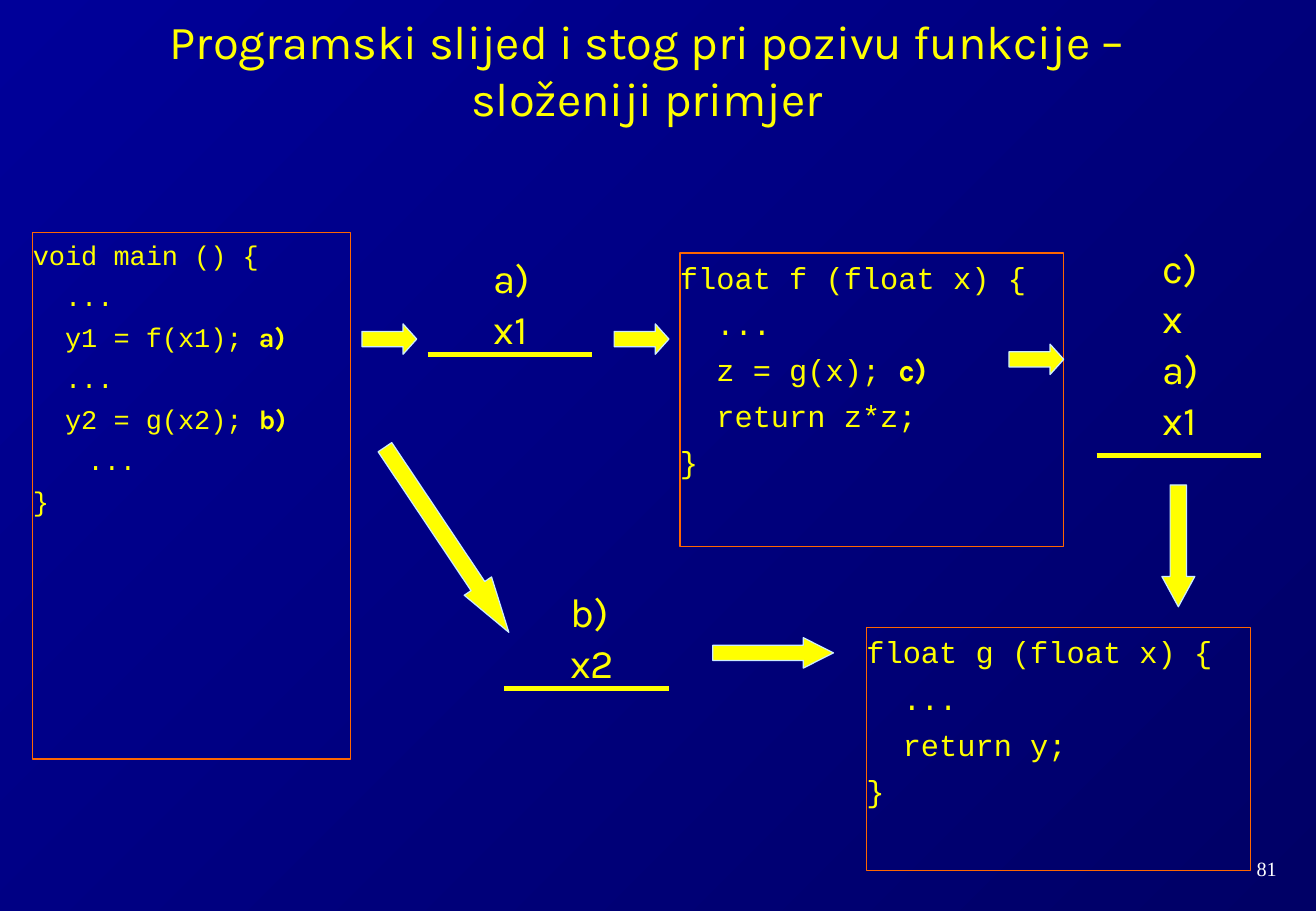
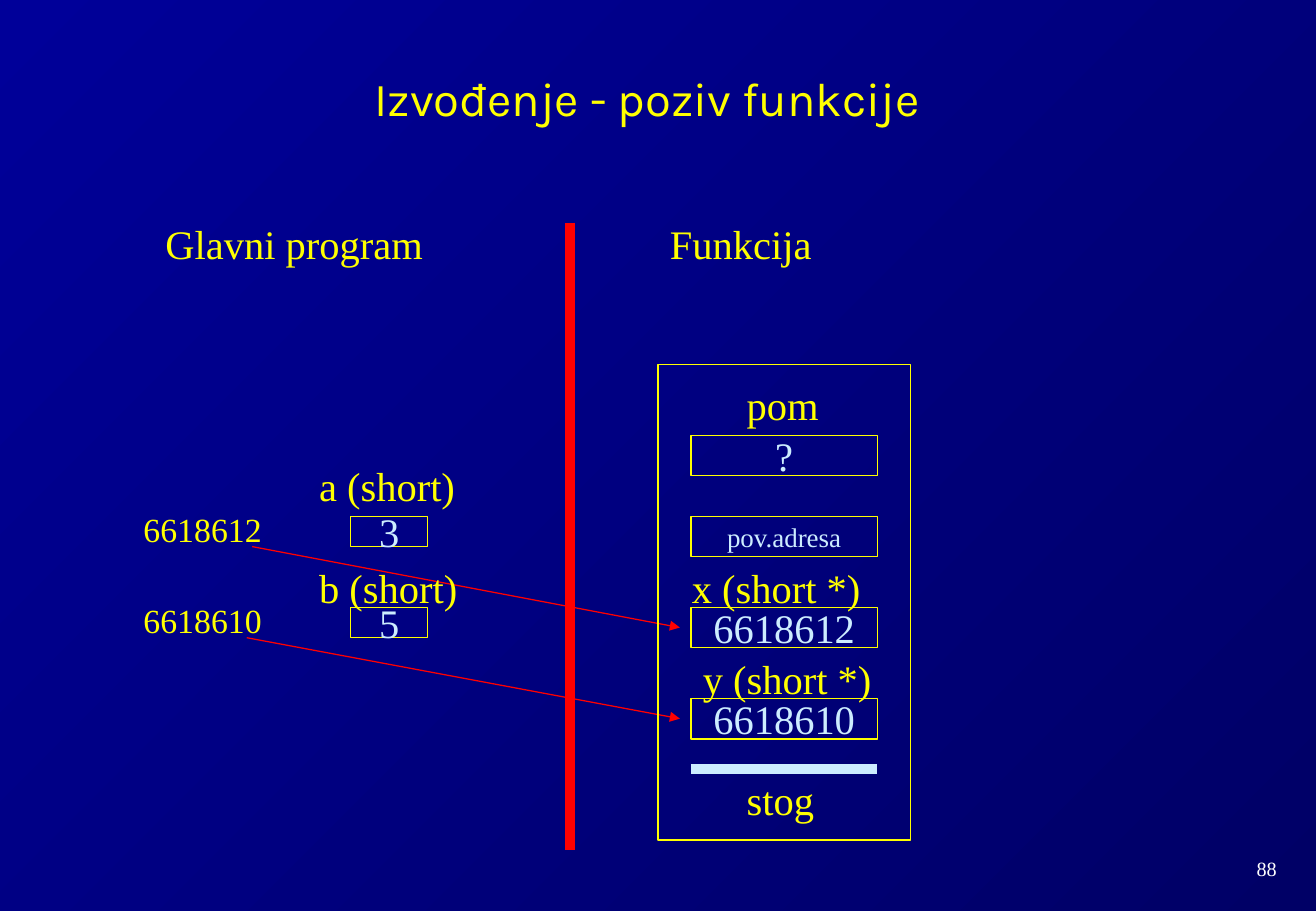
from collections import namedtuple
from dataclasses import dataclass

from lxml import etree
from pptx import Presentation
from pptx.dml.color import RGBColor
from pptx.enum.shapes import MSO_CONNECTOR, MSO_SHAPE
from pptx.enum.text import MSO_ANCHOR, MSO_AUTO_SIZE, PP_ALIGN
from pptx.oxml.ns import qn
from pptx.util import Inches, Pt

STRAIGHT = MSO_CONNECTOR.STRAIGHT
RECTANGLE, RIGHT_ARROW = MSO_SHAPE.RECTANGLE, MSO_SHAPE.RIGHT_ARROW
LEFT, CENTER = PP_ALIGN.LEFT, PP_ALIGN.CENTER
TOP, MIDDLE, BOTTOM = MSO_ANCHOR.TOP, MSO_ANCHOR.MIDDLE, MSO_ANCHOR.BOTTOM
TITLE_ONLY = 5


@dataclass(frozen=True)
class Theme:
    yellow: RGBColor = RGBColor(0xFF, 0xFF, 0x00)
    pale: RGBColor = RGBColor(0xCC, 0xEC, 0xFF)
    orange: RGBColor = RGBColor(0xFF, 0x66, 0x00)
    red: RGBColor = RGBColor(0xFF, 0x00, 0x00)
    white: RGBColor = RGBColor(0xFF, 0xFF, 0xFF)
    dark: RGBColor = RGBColor(0x00, 0x00, 0x66)
    blue: RGBColor = RGBColor(0x00, 0x00, 0x99)
    sans: str = "Karla"
    serif: str = "Times New Roman"
    mono: str = "Courier New"
    title: int = 28
    label: int = 24
    address: int = 20
    code: int = 18
    small: int = 16
    number: int = 12
    thin: float = 0.75
    medium: float = 3
    thick: float = 6
    code_gap: float = 0.32


THEME = Theme()
Box = namedtuple("Box", "left top width height")

# The slide is a grid of 120 columns and 90 rows.
SLIDE_WIDTH, SLIDE_HEIGHT = Inches(10.84), Inches(7.5)
COLUMN, ROW = SLIDE_WIDTH / 120, SLIDE_HEIGHT / 90
TITLE_BOX = Box(6, 3, 106, 10)
NUMBER_BOX = Box(111, 84, 9, 3.6)


def place(box):
    return (round(box.left * COLUMN), round(box.top * ROW),
            round(box.width * COLUMN), round(box.height * ROW))


def add_run(paragraph, text, size, color, font, bold=False):
    run = paragraph.add_run()
    run.text = text
    run.font.size = Pt(size)
    run.font.color.rgb = color
    run.font.name = font
    run.font.bold = bold


def set_frame(frame, anchor=TOP, insets=(0, 0), wrap=True):
    """Set anchor, wrapping and the (side, top and bottom) insets in inches."""
    frame.auto_size = MSO_AUTO_SIZE.NONE
    frame.word_wrap = wrap
    frame.vertical_anchor = anchor
    frame.margin_left = frame.margin_right = Inches(insets[0])
    frame.margin_top = frame.margin_bottom = Inches(insets[1])


def add_text(slide, box, text, size=THEME.label, color=THEME.yellow,
             font=THEME.serif, align=LEFT, anchor=TOP, insets=(0.1, 0.05)):
    frame = slide.shapes.add_textbox(*place(box)).text_frame
    set_frame(frame, anchor, insets)
    frame.paragraphs[0].alignment = align
    add_run(frame.paragraphs[0], text, size, color, font)


def add_outline(slide, box, color):
    shape = slide.shapes.add_shape(RECTANGLE, *place(box))
    shape.shadow.inherit = False
    shape.fill.background()
    shape.line.color.rgb = color
    shape.line.width = Pt(THEME.thin)
    return shape


def add_line(slide, start, end, color, width, arrowhead=False):
    connector = slide.shapes.add_connector(
        STRAIGHT, round(start[0] * COLUMN), round(start[1] * ROW),
        round(end[0] * COLUMN), round(end[1] * ROW))
    connector.line.color.rgb = color
    connector.line.width = Pt(width)
    if arrowhead:
        etree.SubElement(connector.line._get_or_add_ln(), qn("a:tailEnd"), type="triangle")
    etree.SubElement(connector._element.spPr, qn("a:effectLst"))


def add_block_arrow(slide, box, head, rotation=0):
    """Add an arrow whose head length is a share of its thickness."""
    shape = slide.shapes.add_shape(RIGHT_ARROW, *place(box))
    shape.shadow.inherit = False
    shape.adjustments[0] = 0.5
    shape.adjustments[1] = head
    shape.rotation = rotation
    shape.fill.solid()
    shape.fill.fore_color.rgb = THEME.yellow
    shape.line.color.rgb = THEME.pale
    shape.line.width = Pt(THEME.thin)


def add_code(slide, box, size, lines):
    """Add a framed listing; each line holds (text, font) runs."""
    frame = add_outline(slide, box, THEME.orange).text_frame
    set_frame(frame, insets=(0, 0.05))
    for index, runs in enumerate(lines):
        paragraph = frame.add_paragraph() if index else frame.paragraphs[0]
        paragraph.alignment = LEFT
        if index:
            paragraph.space_before = Pt(size * THEME.code_gap)
        for text, font in runs:
            is_mark = font == THEME.sans and text.strip() != ""
            add_run(paragraph, text, size, THEME.yellow, font, is_mark)


def add_call_stack(slide, box, entries):
    """Add entries from the top of the box down to a base line at its bottom."""
    base = box.top + box.height
    add_line(slide, (box.left, base), (box.left + box.width, base),
             THEME.yellow, THEME.medium)
    for index, entry in enumerate(entries):
        add_text(slide, Box(box.left + 6, box.top + 5 * index, 6, 5), entry,
                 font=THEME.sans, insets=(0, 0))


def add_cell(slide, box, text, size=THEME.label):
    frame = add_outline(slide, box, THEME.yellow).text_frame
    set_frame(frame, MIDDLE, wrap=False)
    frame.paragraphs[0].alignment = CENTER
    add_run(frame.paragraphs[0], text, size, THEME.pale, THEME.serif)


def add_main_memory(slide, box):
    variables = (("a (short)", "3", "6618612", 0, 6),
                 ("b (short)", "5", "6618610", 10, 15))
    for name, value, address, name_row, cell_row in variables:
        cell_top = box.top + cell_row
        add_cell(slide, Box(box.left + 20, cell_top, 7, 3), value)
        add_text(slide, Box(box.left + 16, box.top + name_row, 16, 6), name)
        add_text(slide, Box(box.left, cell_top - 1.3, 14, 5.3), address, THEME.address)


def add_function_stack(slide, box):
    add_outline(slide, box, THEME.yellow)
    cells = (("?", 7, THEME.label), ("pov.adresa", 15, THEME.small),
             ("6618612", 24, THEME.label), ("6618610", 33, THEME.label))
    for value, row, size in cells:
        add_cell(slide, Box(box.left + 3, box.top + row, 17, 4), value, size)
    labels = (("pom", 7, 1, 10), ("x (short *)", 2, 19, 19),
              ("y (short *)", 3, 28, 19), ("stog", 7, 40, 10))
    for text, column, row, width in labels:
        add_text(slide, Box(box.left + column, box.top + row, width, 6), text)
    base = box.top + 40
    add_line(slide, (box.left + 3, base), (box.left + 20, base), THEME.pale, THEME.thick)


def add_slide(presentation, title, number):
    slide = presentation.slides.add_slide(presentation.slide_layouts[TITLE_ONLY])
    shape = slide.shapes.title
    shape.left, shape.top, shape.width, shape.height = place(TITLE_BOX)
    set_frame(shape.text_frame, BOTTOM, (0.1, 0.05))
    paragraph = shape.text_frame.paragraphs[0]
    paragraph.alignment = CENTER
    add_run(paragraph, title, THEME.title, THEME.yellow, THEME.sans)
    add_text(slide, NUMBER_BOX, number, THEME.number, THEME.white,
             align=CENTER, anchor=MIDDLE)
    return slide


def build_call_flow(presentation):
    slide = add_slide(
        presentation, "Programski slijed i stog pri pozivu funkcije – složeniji primjer", "81")
    mono, sans = THEME.mono, THEME.sans
    dots = [("  ...", mono)]
    close = [("}", mono)]
    add_code(slide, Box(3, 23, 29, 52), THEME.small, [
        [("void main () {", mono)],
        dots,
        [("  y1 = f(x1); ", mono), ("a)", sans)],
        dots,
        [("  y2 = g(x2); ", mono), ("b)", sans)],
        [(" ", sans), ("   ...", mono)],
        close])
    add_code(slide, Box(62, 25, 35, 29), THEME.code, [
        [("float f (float x) {", mono)],
        dots,
        [("  z = g(x); ", mono), ("c)", sans)],
        [("  return z*z;", mono)],
        close])
    add_code(slide, Box(79, 62, 35, 24), THEME.code, [
        [("float g (float x) {", mono)],
        dots,
        [("  return y;", mono)],
        close])

    add_call_stack(slide, Box(39, 25, 15, 10), ["a)", "x1"])
    add_call_stack(slide, Box(46, 58, 15, 10), ["b)", "x2"])
    add_call_stack(slide, Box(100, 24, 15, 21), ["c)", "x", "a)", "x1"])

    for column, row in ((33, 32), (56, 32), (92, 34)):
        add_block_arrow(slide, Box(column, row, 5, 3), 0.45)
    add_block_arrow(slide, Box(65, 63, 11, 3), 0.99)
    add_block_arrow(slide, Box(101.9, 52.3, 11.1, 3.25), 0.92, 90)
    add_block_arrow(slide, Box(30.6, 51.7, 20.3, 3.25), 1.69, 56.2)


def build_execution(presentation):
    slide = add_slide(presentation, "Izvođenje - poziv funkcije", "88")
    for start, end in (((23, 54), (62, 62)), ((22.5, 63), (62, 71))):
        add_line(slide, start, end, THEME.red, THEME.thin, arrowhead=True)
    add_text(slide, Box(14, 21, 27, 6), "Glavni program")
    add_text(slide, Box(60, 21, 17, 6), "Funkcija")
    add_main_memory(slide, Box(12, 45, 32, 18))
    add_function_stack(slide, Box(60, 36, 23, 47))
    add_line(slide, (52, 22), (52, 84), THEME.red, THEME.thick)


def set_background(master):
    fill = master.background.fill
    fill.gradient()
    fill.gradient_angle = 135
    for stop, color in zip(fill.gradient_stops, (THEME.dark, THEME.blue)):
        stop.color.rgb = color


def main():
    presentation = Presentation()
    presentation.slide_width, presentation.slide_height = SLIDE_WIDTH, SLIDE_HEIGHT
    set_background(presentation.slide_master)
    build_call_flow(presentation)
    build_execution(presentation)
    presentation.save("out.pptx")


if __name__ == "__main__":
    main()
